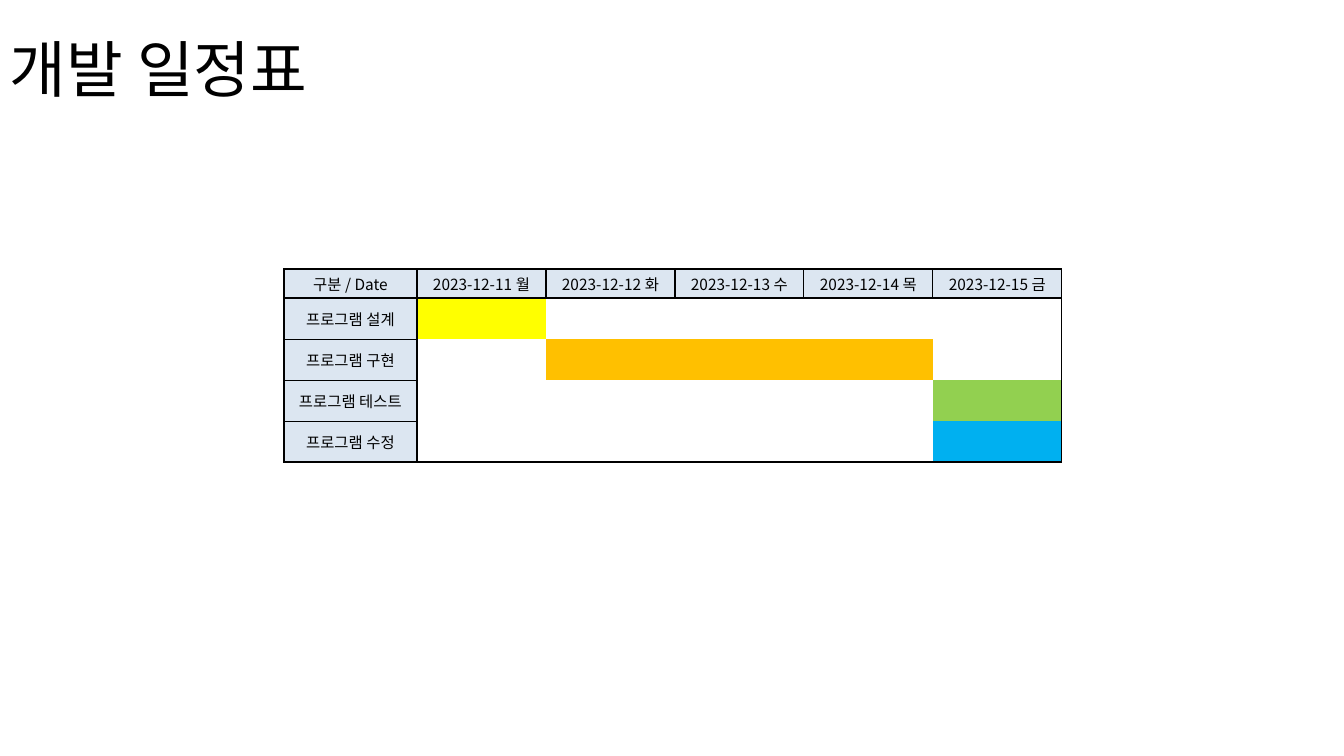
from lxml import etree
from pptx import Presentation
from pptx.dml.color import RGBColor
from pptx.enum.text import MSO_ANCHOR, PP_ALIGN
from pptx.oxml.ns import qn
from pptx.util import Pt

SCALE = 914400 / 100.8
MIDDLE = MSO_ANCHOR.MIDDLE
CENTER = PP_ALIGN.CENTER
FONT = "Noto Sans CJK KR"
BLACK = "000000"
HEADER_FILL = "DCE6F1"


def px(pixels):
    return round(pixels * SCALE)


def add_run(paragraph, text, size):
    run = paragraph.add_run()
    run.text = text
    run.font.size = Pt(size)
    run.font.name = FONT
    run.font.color.rgb = RGBColor.from_string(BLACK)
    east_asian = etree.Element(qn("a:ea"), typeface=FONT)
    run.font._element.find(qn("a:latin")).addnext(east_asian)


presentation = Presentation()
presentation.slide_width = px(1344)
presentation.slide_height = px(756)
slide = presentation.slides.add_slide(presentation.slide_layouts[6])

title = slide.shapes.add_textbox(0, 0, px(1159), px(146))
title.text_frame.word_wrap = True
title.text_frame.vertical_anchor = MIDDLE
title_paragraph = title.text_frame.paragraphs[0]
title_paragraph.line_spacing = 0.9
add_run(title_paragraph, "개발 일정표", 44)

headers = ["구분 / Date", "2023-12-11 월", "2023-12-12 화",
           "2023-12-13 수", "2023-12-14 목", "2023-12-15 금"]
tasks = [
    ("프로그램 설계", "FFFF00", [1]),
    ("프로그램 구현", "FFC000", [2, 3, 4]),
    ("프로그램 테스트", "92D050", [5]),
    ("프로그램 수정", "00B0F0", [5]),
]
column_widths = [133] + [129] * 5
row_heights = [29] + [41] * 4
last_row = len(tasks)
last_column = len(headers) - 1

schedule = slide.shapes.add_table(
    len(row_heights), len(column_widths), px(284), px(269),
    px(sum(column_widths)), px(sum(row_heights))).table
for column, width in zip(schedule.columns, column_widths):
    column.width = px(width)
for row, height in zip(schedule.rows, row_heights):
    row.height = px(height)

for row in range(last_row + 1):
    for column in range(last_column + 1):
        cell = schedule.cell(row, column)
        cell.margin_left = cell.margin_right = cell.margin_top = px(1)
        cell.margin_bottom = 0
        cell.vertical_anchor = MIDDLE
        paragraph = cell.text_frame.paragraphs[0]
        paragraph.alignment = CENTER

        fill = None
        if row == 0:
            fill = HEADER_FILL
            add_run(paragraph, headers[column], 11)
        else:
            name, bar_color, days = tasks[row - 1]
            if column == 0:
                fill = HEADER_FILL
                add_run(paragraph, name, 11)
            elif column in days:
                fill = bar_color
        if fill:
            cell.fill.solid()
            cell.fill.fore_color.rgb = RGBColor.from_string(fill)
        else:
            cell.fill.background()

        label = column == 0
        borders = [
            ("a:lnL", 1 if row == 0 or column <= 1 else 0),
            ("a:lnR", 1 if row == 0 or column in (0, last_column) else 0),
            ("a:lnT", 1 if row <= 1 else 0.5 if label else 0),
            ("a:lnB", 1 if row in (0, last_row) else 0.5 if label else 0),
        ]
        properties = cell._tc.get_or_add_tcPr()
        for position, (tag, width) in enumerate(borders):
            line = etree.Element(qn(tag), w=str(Pt(width)))
            if width:
                line_fill = etree.SubElement(line, qn("a:solidFill"))
                etree.SubElement(line_fill, qn("a:srgbClr"), val=BLACK)
            else:
                etree.SubElement(line, qn("a:noFill"))
            properties.insert(position, line)

presentation.save("out.pptx")
